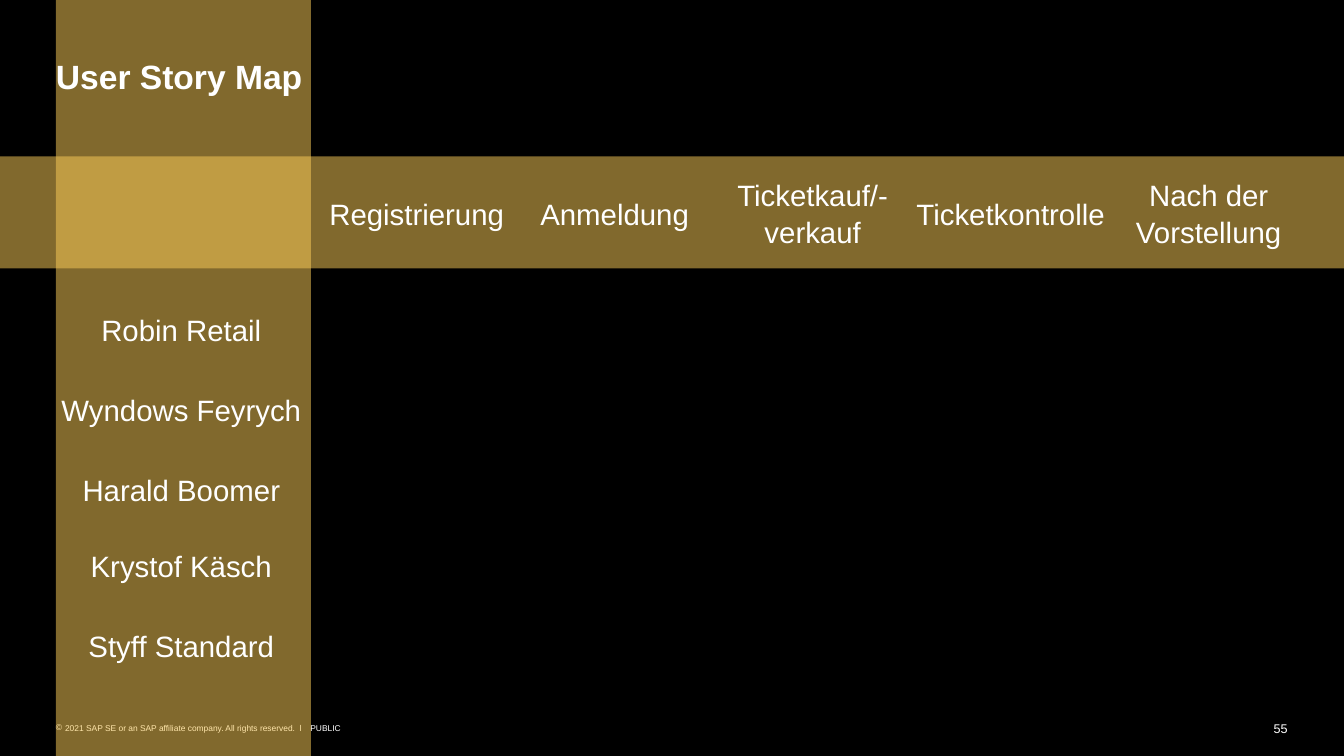
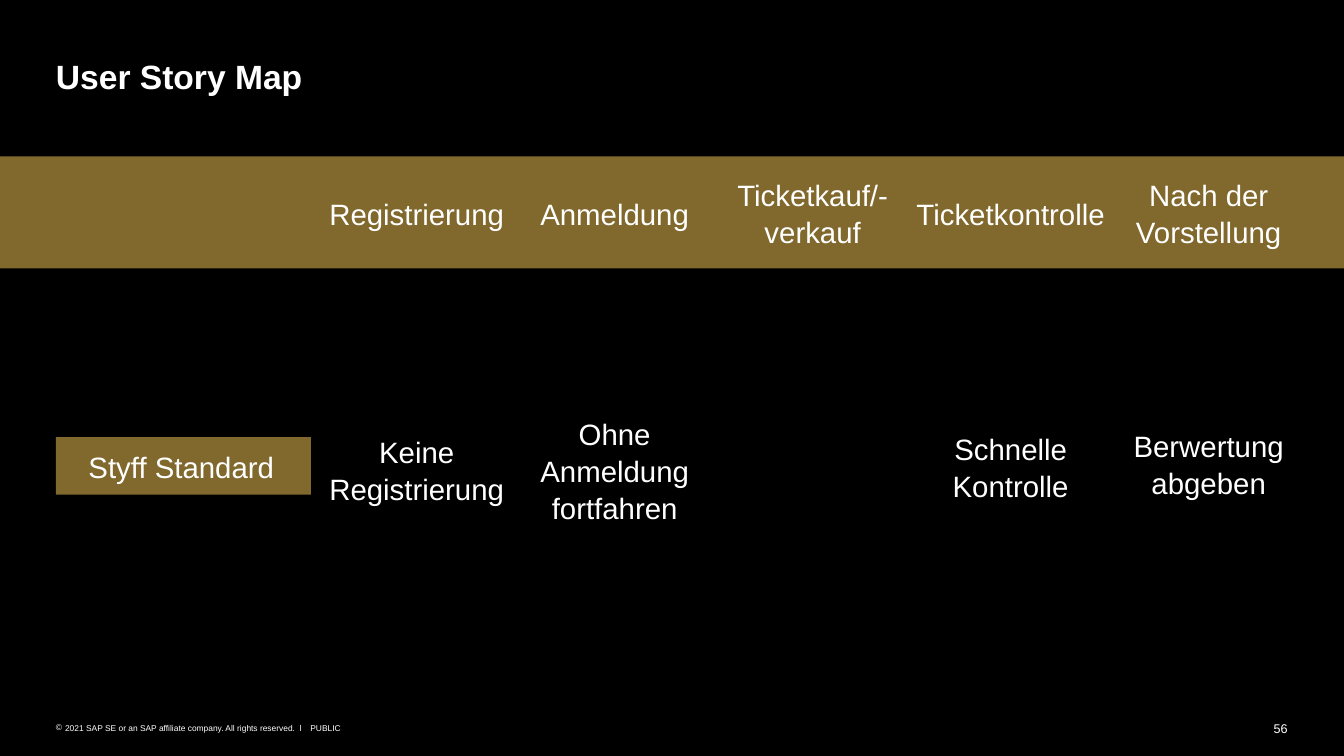
from lxml import etree
from pptx import Presentation
from pptx.dml.color import RGBColor
from pptx.enum import shapes, text
from pptx.oxml import ns
from pptx.util import Pt

COLORS = {"background": "000000", "text": "FFFFFF", "gold": "FECE59"}
FONT = "Arial"
WIDTH, HEIGHT = 960.5, 540
MARGIN = 40
PERSONA_WIDTH = 182.2
BAND = (0, 111.75, WIDTH, 80)
STEP_LEFT, STEP_PITCH, STEP_WIDTH = 221.8, 141.5, 152
STEPS = ["Registrierung", "Anmeldung", "Ticketkauf/-verkauf",
         "Ticketkontrolle", "Nach der Vorstellung"]
PERSONAS = [("Robin Retail", 235), ("Wyndows Feyrych", 292), ("Harald Boomer", 349.5),
            ("Krystof Käsch", 403.5), ("Styff Standard", 460.5)]
STORIES = [(0, "Keine Registrierung", 335.2), (1, "Ohne Anmeldung fortfahren", 335.5),
           (3, "Schnelle Kontrolle", 333), (4, "Berwertung abgeben", 330.8)]


def add_xml(parent, tag, **attributes):
    """Append a DrawingML element to the parent and return it."""
    return etree.SubElement(parent, ns.qn(tag), attributes)


def add_text(slide, content, box, size=21, bold=False, align="LEFT", anchor="TOP",
             spacing=None, wrap=True, bullet=None, indent=6.5):
    """Place one paragraph of text in a box of left, top, width and height."""
    shape = slide.shapes.add_textbox(*map(Pt, box))
    frame = shape.text_frame
    frame.margin_left = frame.margin_top = frame.margin_right = frame.margin_bottom = 0
    frame.word_wrap = wrap
    frame.vertical_anchor = getattr(text.MSO_ANCHOR, anchor)
    paragraph = frame.paragraphs[0]
    paragraph.alignment = getattr(text.PP_ALIGN, align)
    if spacing:
        paragraph.line_spacing = spacing
    if bullet:
        properties = paragraph._p.get_or_add_pPr()
        properties.set("marL", str(int(Pt(indent))))
        properties.set("indent", str(-int(Pt(indent))))
        add_xml(add_xml(properties, "a:buClr"), "a:srgbClr", val=COLORS["text"])
        add_xml(properties, "a:buFont", typeface=FONT)
        add_xml(properties, "a:buChar", char=bullet)
    run = paragraph.add_run()
    run.text = content
    run.font.name = FONT
    run.font.size = Pt(size)
    run.font.bold = bold
    run.font.color.rgb = RGBColor.from_string(COLORS["text"])


def add_label(slide, content, left, width, middle, height=80):
    """Place a centred label around a vertical middle."""
    add_text(slide, content, (left, middle - height / 2, width, height),
             align="CENTER", anchor="MIDDLE", spacing=1.05)


def add_band(slide, box, opacity=51):
    """Draw a translucent gold rectangle."""
    shape = slide.shapes.add_shape(shapes.MSO_SHAPE.RECTANGLE, *map(Pt, box))
    shape.shadow.inherit = False
    shape.fill.solid()
    shape.fill.fore_color.rgb = RGBColor.from_string(COLORS["gold"])
    shape.line.fill.background()
    color = shape._element.spPr.find(".//" + ns.qn("a:srgbClr"))
    add_xml(color, "a:alpha", val=str(opacity * 1000))


def add_footer(slide, number):
    """Place the copyright line, the classification and the page number."""
    add_text(slide, str(number), (890, 514.8, 30.2, 10.8), size=9, align="RIGHT")
    add_text(slide, "PUBLIC", (STEP_LEFT, 516.2, 22.3, 7.2), size=6, wrap=False)
    add_text(slide, "2021 SAP SE or an SAP affiliate company. All rights reserved.  ǀ",
             (MARGIN, 516.2, 178.6, 7.2), size=6, bullet="©")


def add_step(slide, column, content, middle):
    """Place a label in one of the step columns."""
    add_label(slide, content, STEP_LEFT + column * STEP_PITCH, STEP_WIDTH, middle)


def add_persona(slide, name, middle):
    """Place a persona name in the left column."""
    add_label(slide, name, 43.2, 172.8, middle, height=26)


def add_story_map(presentation, number, persona_top, persona_height, personas, stories=()):
    """Build one story map slide with its step band, personas and stories."""
    slide = presentation.slides.add_slide(presentation.slide_layouts[6])
    slide.background.fill.solid()
    slide.background.fill.fore_color.rgb = RGBColor.from_string(COLORS["background"])
    add_footer(slide, number)
    add_band(slide, (MARGIN, persona_top, PERSONA_WIDTH, persona_height))
    add_text(slide, "User Story Map", (MARGIN, 39.6, 880.5, 28.8), size=24, bold=True)
    add_band(slide, BAND)
    for column, step in enumerate(STEPS):
        add_step(slide, column, step, BAND[1] + BAND[3] / 2)
    for name, middle in personas:
        add_persona(slide, name, middle)
    for column, story, middle in stories:
        add_step(slide, column, story, middle)


def main():
    """Build and save the presentation."""
    presentation = Presentation()
    presentation.slide_width, presentation.slide_height = Pt(WIDTH), Pt(HEIGHT)
    add_story_map(presentation, 55, 0, HEIGHT, PERSONAS)
    add_story_map(presentation, 56, 312.3, 41, [("Styff Standard", 332.5)], STORIES)
    presentation.save("out.pptx")


if __name__ == "__main__":
    main()
